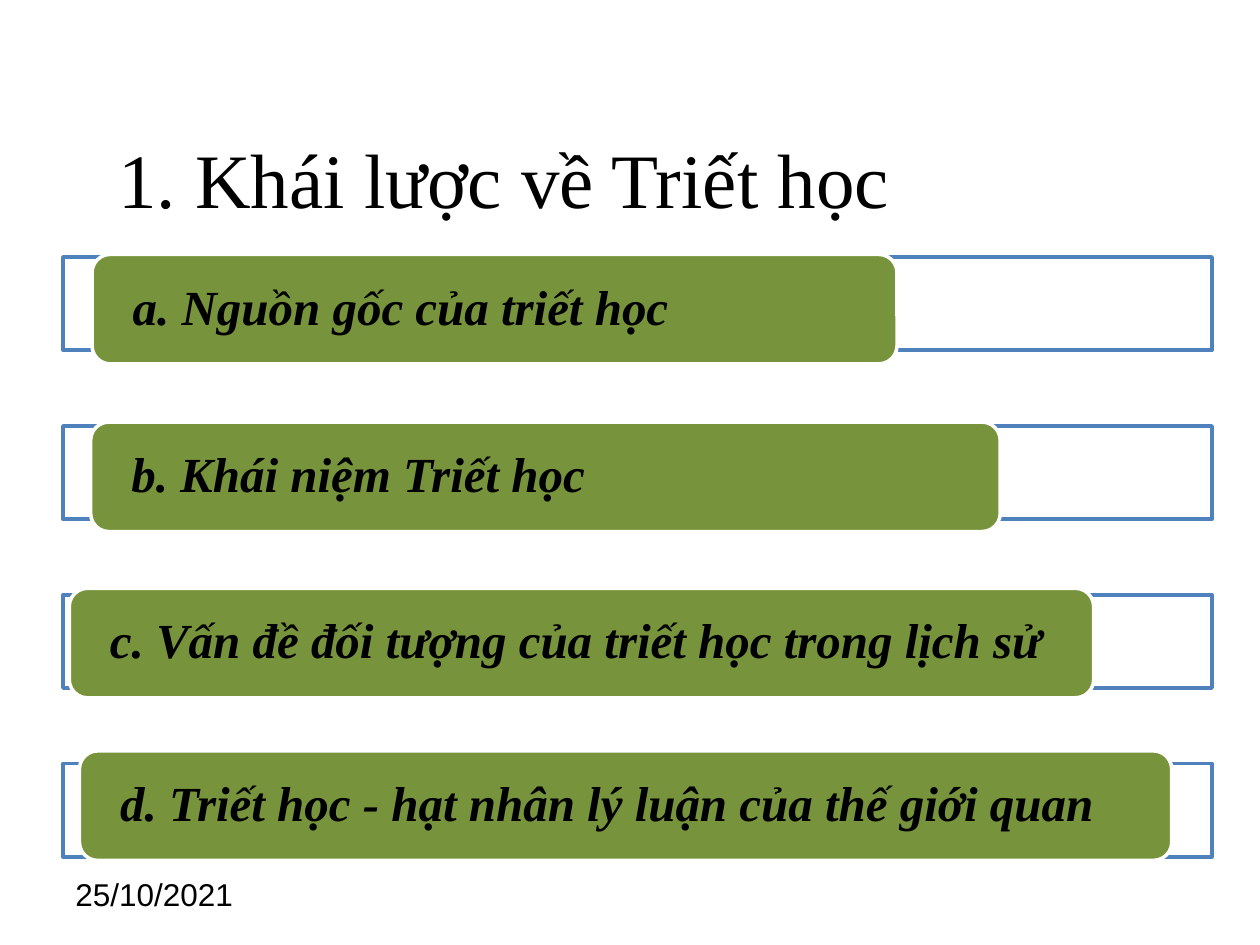
from lxml import etree
from pptx import Presentation
from pptx.dml.color import RGBColor
from pptx.enum import shapes, text
from pptx.oxml import ns
from pptx.util import Pt

SERIF = "Times New Roman"
FRAME_TOP, FRAME_STEP = 146.9, 96.5
TOPICS = [
    ("a. Nguồn gốc của triết học", 52.6, 145.4, 460),
    ("b. Khái niệm Triết học", 51.8, 241.2, 519.8),
    ("c. Vấn đề đối tượng của triết học trong lịch sử", 39.6, 336.2, 585.4),
    ("d. Triết học - hạt nhân lý luận của thế giới quan", 45.4, 429.1, 624.2),
]


def color(value):
    return RGBColor.from_string(value)


def write(shape, words, size, font_name, inset_x=7.2, inset_y=3.6):
    frame = shape.text_frame
    frame.word_wrap = True
    frame.vertical_anchor = text.MSO_ANCHOR.MIDDLE
    frame.margin_left = frame.margin_right = Pt(inset_x)
    frame.margin_top = frame.margin_bottom = Pt(inset_y)
    paragraph = frame.paragraphs[0]
    paragraph.text = words
    paragraph.alignment = text.PP_ALIGN.LEFT
    paragraph.font.size = Pt(size)
    paragraph.font.name = font_name
    paragraph.font.color.rgb = color("000000")
    return paragraph


def add_label(slide, words, left, top, width, height, size, font_name):
    box = slide.shapes.add_textbox(Pt(left), Pt(top), Pt(width), Pt(height))
    return write(box, words, size, font_name)


def add_block(slide, kind, left, top, width, height, fill, line):
    shape = slide.shapes.add_shape(kind, Pt(left), Pt(top), Pt(width), Pt(height))
    shape.shadow.inherit = False
    shape.fill.solid()
    shape.fill.fore_color.rgb = color(fill)
    shape.line.color.rgb = color(line)
    shape.line.width = Pt(2)
    return shape


def add_frame(slide, top):
    frame = add_block(slide, shapes.MSO_SHAPE.RECTANGLE, 36, top, 656.6, 53.3,
                      "FFFFFF", "4F81BD")
    fill_color = frame.fill._xPr.find(ns.qn("a:solidFill"))[0]
    etree.SubElement(fill_color, ns.qn("a:alpha"), val="90000")


def add_topic(slide, words, left, top, width):
    bar = add_block(slide, shapes.MSO_SHAPE.ROUNDED_RECTANGLE, left, top, width, 62.6,
                    "77933C", "FFFFFF")
    paragraph = write(bar, words, 28, SERIF, 20.2, 0)
    paragraph.line_spacing = 0.9
    paragraph.font.bold = True
    paragraph.font.italic = True


def main():
    presentation = Presentation()
    presentation.slide_width, presentation.slide_height = Pt(720), Pt(540)
    slide = presentation.slides.add_slide(presentation.slide_layouts[6])

    title = add_label(slide, "1. Khái lược về Triết học", 60.5, 42.5, 573.8, 125.3, 44, SERIF)
    title.line_spacing = 0.9
    add_label(slide, "25/10/2021", 36, 491.8, 167.8, 37.4, 18, "Arial")

    for index, topic in enumerate(TOPICS):
        add_frame(slide, FRAME_TOP + index * FRAME_STEP)
        add_topic(slide, *topic)

    presentation.save("out.pptx")


if __name__ == "__main__":
    main()
